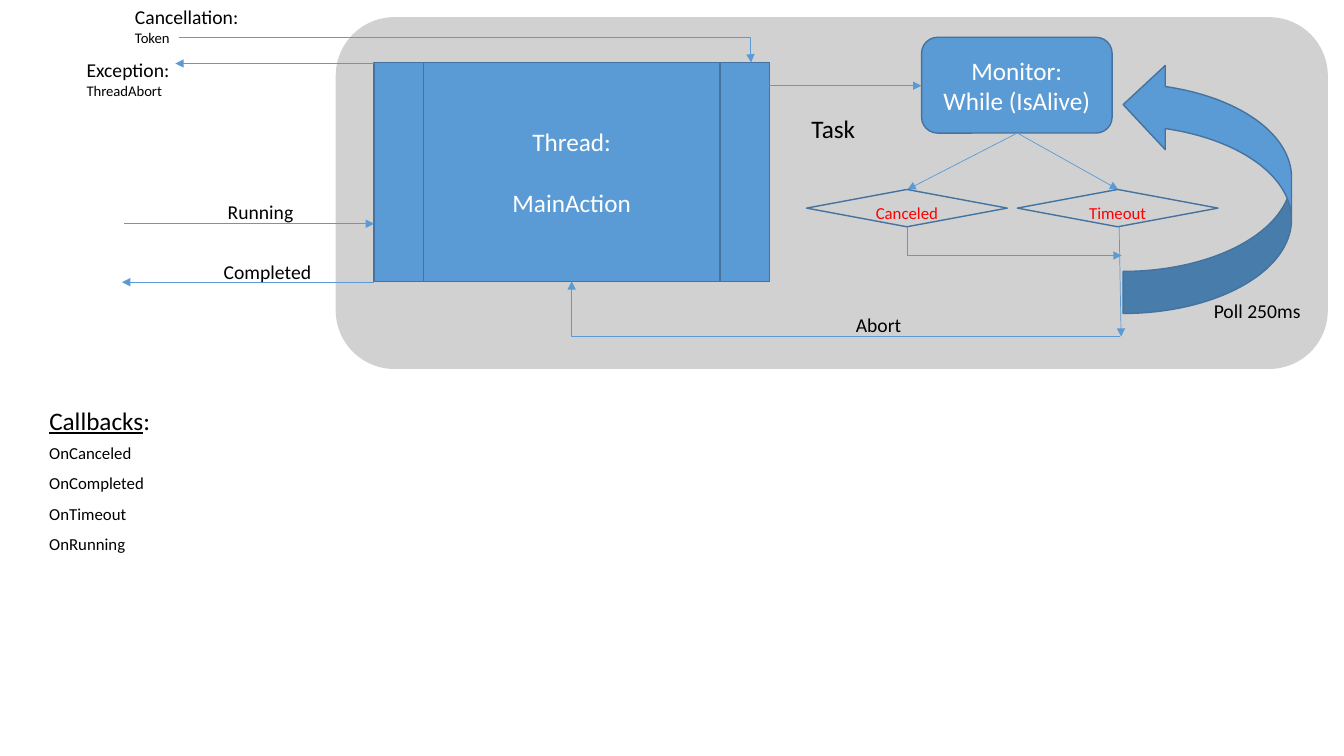
from lxml.etree import SubElement as Sub
from pptx import Presentation
from pptx.dml.color import RGBColor
from pptx.enum.shapes import MSO_CONNECTOR as Link, MSO_SHAPE as Kind
from pptx.enum.text import MSO_ANCHOR as Anchor, PP_ALIGN as Align
from pptx.oxml.ns import qn
from pptx.util import Pt

SCALE = 9144
BLUE = RGBColor(0x5B, 0x9B, 0xD5)
EDGE = RGBColor(0x43, 0x73, 0x9E)
GRAY = RGBColor(0xA5, 0xA5, 0xA5)
WHITE = RGBColor(0xFF, 0xFF, 0xFF)
BLACK = RGBColor(0, 0, 0)
RED = RGBColor(0xFF, 0, 0)


def px(*nums):
    return [n * SCALE for n in nums]


def place(box, left, top, *size):
    return px(box[0] + left, box[1] + top, *size)


def style(item, form):
    for name, value in form.items():
        setattr(item, name, value)


def write(para, text, size, color=BLACK, **form):
    run = para.add_run()
    run.text = text
    style(run.font, {"name": "Calibri", "size": Pt(size), **form})
    run.font.color.rgb = color


def label(slide, box, spot, *lines):
    frame = slide.shapes.add_textbox(*place(box, *spot)).text_frame
    frame.word_wrap = True
    for i, (text, size) in enumerate(lines):
        para = frame.add_paragraph() if i else frame.paragraphs[0]
        write(para, text, size)
    return frame


def block(slide, box, kind, spot, fill=None, edge=EDGE):
    shape = slide.shapes.add_shape(kind, *place(box, *spot))
    shape.shadow.inherit = False
    if fill is None:
        shape.fill.background()
    else:
        shape.fill.solid()
        shape.fill.fore_color.rgb = fill
    if edge is None:
        shape.line.fill.background()
    else:
        shape.line.color.rgb = edge
        shape.line.width = Pt(1)
    return shape


def center(shape, lines, size, color, gap=0, **form):
    frame = shape.text_frame
    style(frame, {"word_wrap": True, "vertical_anchor": Anchor.MIDDLE, **form})
    for i, text in enumerate(lines):
        para = frame.add_paragraph() if i else frame.paragraphs[0]
        style(para, {"alignment": Align.CENTER, "space_before": Pt(gap * i)})
        write(para, text, size, color)


def arrow(slide, box, start, end, kind=Link.STRAIGHT):
    link = slide.shapes.add_connector(kind, *place(box, *start), *place(box, *end))
    link.line.color.rgb = BLUE
    link.line.width = Pt(0.5)
    Sub(link.line._get_or_add_ln(), qn("a:tailEnd"), type="triangle")
    Sub(link.element.spPr, qn("a:effectLst"))
    return link


def elbow(slide, box, spot, **turn):
    left, top, wide, high = spot
    link = arrow(slide, box, (left, top), (left + wide, top + high), Link.ELBOW)
    link.element.spPr.find(qn("a:prstGeom")).set("prst", "bentConnector2")
    style_xfrm(link, turn)


def style_xfrm(shape, turn):
    for name, value in turn.items():
        shape.element.spPr.find(qn("a:xfrm")).set(name, value)


def panel(slide, box):
    shape = block(slide, box, Kind.ROUNDED_RECTANGLE, (0, 0, *box[2:]), GRAY, None)
    color = shape.element.spPr.find(qn("a:solidFill"))[0]
    Sub(color, qn("a:alpha"), val="50000")


def thread(slide, box):
    spot = (0, 0, *box[2:])
    shape = block(slide, box, Kind.FLOWCHART_PREDEFINED_PROCESS, spot, BLUE)
    center(shape, ["Thread:", "MainAction"], 18, WHITE, gap=22)


def signals(slide, box):
    for start, end in [((295, 63), (98, 63)), ((295, 280), (45, 280)),
                       ((47, 222), (295, 222))]:
        arrow(slide, box, start, end)
    token = arrow(slide, box, (102, 37), (669, 62), Link.ELBOW)
    geom = token.element.spPr.find(qn("a:prstGeom"))
    Sub(geom.find(qn("a:avLst")), qn("a:gd"), name="adj1", fmla="val 99900")
    label(slide, box, (48, 0, 129, 51), ("Cancellation:", 14), ("Token", 10.5))
    label(slide, box, (0, 53, 105, 51), ("Exception:", 14), ("ThreadAbort", 10.5))
    label(slide, box, (140, 193, 113, 34), ("Running", 14))
    label(slide, box, (136, 253, 113, 34), ("Completed", 14))


def monitor(slide, box):
    shape = block(slide, box, Kind.FLOWCHART_ALTERNATE_PROCESS,
                  (151, 0, 189, 95), BLUE)
    center(shape, ["Monitor:", "While (IsAlive)"], 18, WHITE)
    for start, end in [((0, 48), (151, 48)), ((246, 95), (137, 151)),
                       ((246, 95), (346, 151)), ((347, 188), (349, 297))]:
        arrow(slide, box, start, end)
    elbow(slide, box, (229, 96, 28, 213), rot="16200000", flipH="1")
    elbow(slide, box, (-196, 242, 544, 55), rot="10800000")
    for i, text in enumerate(["Canceled", "Timeout"]):
        test = block(slide, box, Kind.FLOWCHART_DECISION,
                     (37 + 209 * i, 151, 199, 37))
        center(test, [text], 12, RED, margin_left=0, margin_right=0,
               margin_top=10 * SCALE, margin_bottom=0)
    loop = block(slide, box, Kind.CURVED_RIGHT_ARROW, (351, 25, 167, 249), BLUE)
    style_xfrm(loop, {"flipH": "1", "flipV": "1"})
    label(slide, box, (76, 269, 95, 34), ("Abort", 14))
    label(slide, box, (431, 255, 113, 34), ("Poll 250ms", 14))
    label(slide, box, (32, 71, 72, 40), ("Task", 18))


def calls(slide, box):
    frame = label(slide, box, (0, 0, 178, 40))
    write(frame.paragraphs[0], "Callbacks", 18, underline=True)
    write(frame.paragraphs[0], ":", 18)
    names = ["OnCanceled", "OnCompleted", "OnTimeout", "OnRunning"]
    for i, name in enumerate(names):
        label(slide, box, (0, 37 + 61 * i // 2, 164, 30), (name, 12))


def main():
    deck = Presentation()
    style(deck, dict(zip(("slide_width", "slide_height"), px(1333, 750))))
    slide = deck.slides.add_slide(deck.slide_layouts[6])
    panel(slide, (333, 17, 984, 349))
    thread(slide, (371, 62, 392, 217))
    monitor(slide, (763, 37, 518, 299))
    signals(slide, (76, 0, 669, 287))
    calls(slide, (39, 397, 178, 158))
    deck.save("out.pptx")


if __name__ == "__main__":
    main()
